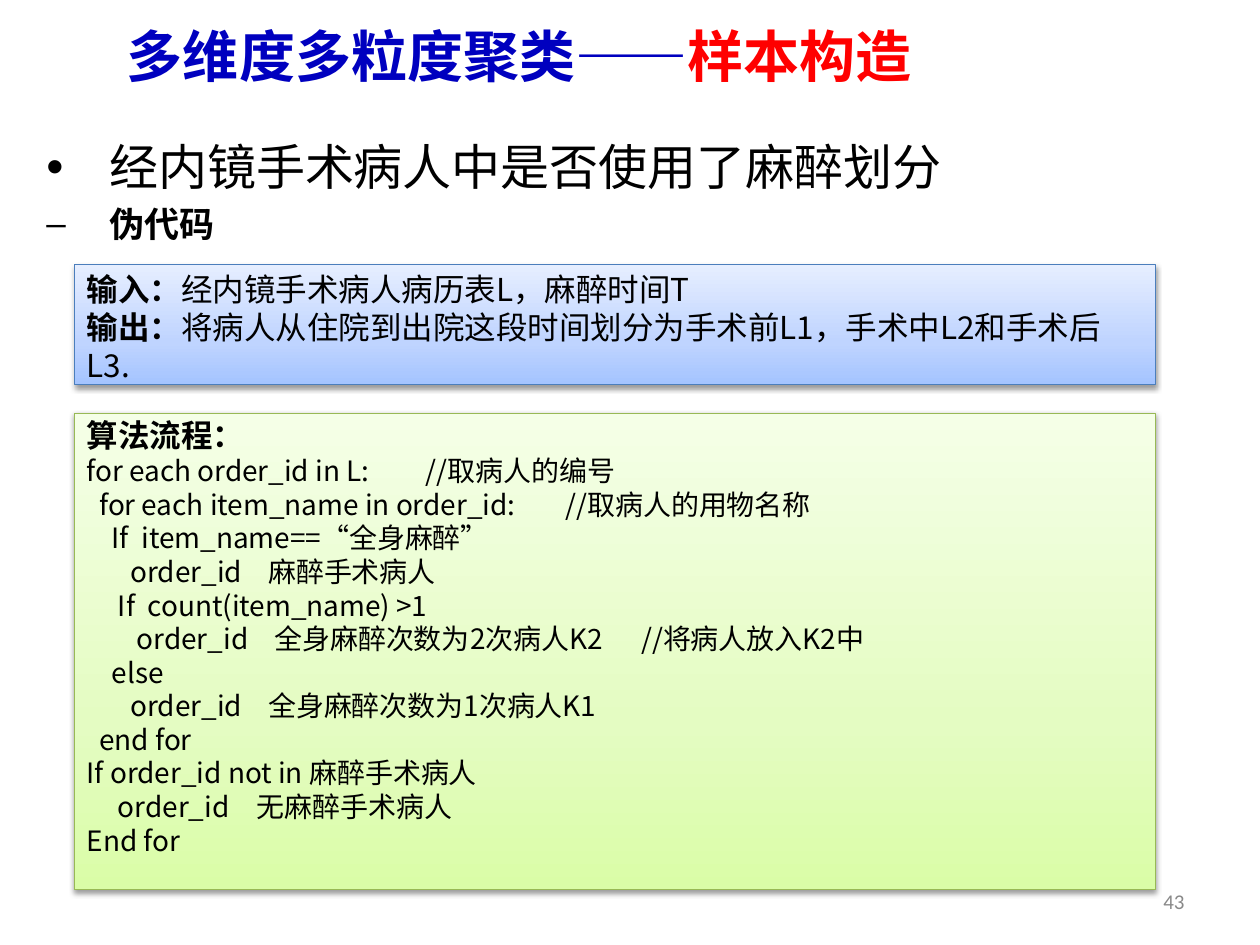
import copy
from dataclasses import dataclass

import pptx
import pptx.dml.color
import pptx.enum.shapes
import pptx.enum.text
import pptx.oxml
import pptx.oxml.ns
import pptx.util

Pt = pptx.util.Pt
Align = pptx.enum.text.PP_ALIGN
Anchor = pptx.enum.text.MSO_ANCHOR
qn = pptx.oxml.ns.qn
NS = pptx.oxml.ns.nsdecls("a")


@dataclass(frozen=True)
class Theme:
    cjk: str = "Noto Sans CJK SC"
    body: str = "Noto Sans CJK JP"
    latin: str = "Calibri"
    ink: str = "000000"
    title: str = "0000BF"
    accent: str = "FF0000"
    muted: str = "898989"
    blue: tuple = ("4B7EBC", "A4C4FF", "BFD4FF", "E6EEFF")
    green: tuple = ("98B955", "DAFDA7", "E4FCC2", "F5FFE7")
    title_size: float = 32
    topic_size: float = 28
    sub_size: float = 20
    label_size: float = 18
    code_size: float = 16
    number_size: float = 12
    leading: float = 1.2


class Deck:
    def __init__(self, theme):
        self.theme = theme
        self.prs = pptx.Presentation()
        self.prs.slide_width = pptx.util.Inches(10)
        self.prs.slide_height = pptx.util.Inches(7.5)
        self.s = self.prs.slides.add_slide(self.prs.slide_layouts[6])

    def box(self, x, y, w, h):
        """Turn shares of the slide, in percent, into lengths."""
        width, height = self.prs.slide_width, self.prs.slide_height
        return [round(share * side / 100)
                for share, side in zip((x, y, w, h), (width, height) * 2)]

    def text(self, area, anchor=Anchor.MIDDLE, top=3.6):
        tf = self.s.shapes.add_textbox(*self.box(*area)).text_frame
        self.frame(tf, anchor, top)
        return tf

    def frame(self, tf, anchor, top):
        tf.word_wrap = True
        tf.vertical_anchor = anchor
        tf.margin_top = Pt(top)

    def panel(self, area, colours, anchor, top):
        """Rectangle with a vertical gradient and a soft shadow below it."""
        sp = self.s.shapes.add_shape(
            pptx.enum.shapes.MSO_SHAPE.RECTANGLE, *self.box(*area))
        line, *stops = colours
        sp.fill.gradient()
        sp.fill.gradient_angle = 90
        first = sp._element.spPr.find(".//" + qn("a:gs"))
        first.addnext(copy.deepcopy(first))
        for stop, colour, position in zip(sp.fill.gradient_stops, stops, (0, 0.35, 1)):
            stop.color.rgb = pptx.dml.color.RGBColor.from_string(colour)
            stop.position = position
        sp.line.color.rgb = pptx.dml.color.RGBColor.from_string(line)
        sp.line.width = Pt(0.75)
        sp.shadow.inherit = False
        sp._element.spPr.find(qn("a:effectLst")).append(pptx.oxml.parse_xml(
            f'<a:outerShdw {NS} blurRad="{Pt(3.1)}" dist="{Pt(1.6)}" dir="5400000" '
            'rotWithShape="0"><a:srgbClr val="000000"><a:alpha val="38000"/>'
            '</a:srgbClr></a:outerShdw>'))
        self.frame(sp.text_frame, anchor, top)
        return sp.text_frame

    def paragraph(self, tf, runs, size, font=None, align=Align.LEFT,
                  bullet=None, before=0, tabs=()):
        """Add a paragraph of (text, bold, colour) runs; tabs are in inches."""
        p = tf.paragraphs[0]
        if p.runs:
            p = tf.add_paragraph()
        pPr = p._p.get_or_add_pPr()
        p.alignment = align
        p.line_spacing = Pt(size * self.theme.leading)
        p.space_before = Pt(before)
        if bullet:
            indent = pptx.util.Inches(0.5)
            pPr.set("marL", str(indent))
            pPr.set("indent", str(-indent))
            pPr.append(pptx.oxml.parse_xml(f'<a:buFont {NS} typeface="Arial"/>'))
            pPr.append(pptx.oxml.parse_xml(f'<a:buChar {NS} char="{bullet}"/>'))
        if tabs:
            stops = "".join(f'<a:tab pos="{pptx.util.Inches(t)}" algn="l"/>' for t in tabs)
            pPr.append(pptx.oxml.parse_xml(f'<a:tabLst {NS}>{stops}</a:tabLst>'))
        for text, bold, colour in runs:
            r = p.add_run()
            r.text = text
            r.font.size = Pt(size)
            r.font.bold = bold
            r.font.color.rgb = pptx.dml.color.RGBColor.from_string(colour)
            r.font.name = font or self.theme.cjk
            east = self.theme.cjk if font == self.theme.latin else r.font.name
            r.font._element.find(qn("a:latin")).addnext(
                pptx.oxml.parse_xml(f'<a:ea {NS} typeface="{east}"/>'))


INPUTS = [
    ("输入：", "经内镜手术病人病历表L，麻醉时间T"),
    ("输出：", "将病人从住院到出院这段时间划分为手术前L1，手术中L2和手术后L3."),
]

# Each line of pseudocode with the tab stops it uses.
CODE = [
    ("for each order_id in L:\t//取病人的编号", [2.69]),
    ("  for each item_name in order_id:\t//取病人的用物名称", [3.8]),
    ("    If  item_name==“全身麻醉”", []),
    ("       order_id\t麻醉手术病人", [1.44]),
    ("     If  count(item_name) >1", []),
    ("        order_id\t全身麻醉次数为2次病人K2\t//将病人放入K2中", [1.49, 4.4]),
    ("    else", []),
    ("       order_id\t全身麻醉次数为1次病人K1", [1.44]),
    ("  end for", []),
    ("If order_id not in 麻醉手术病人", []),
    ("     order_id\t无麻醉手术病人", [1.35]),
    ("End for", []),
]


def main():
    t = Theme()
    deck = Deck(t)

    topics = deck.text((2.7, 13.2, 92.3, 15), Anchor.TOP, 7)
    deck.paragraph(topics, [("经内镜手术病人中是否使用了麻醉划分", False, t.ink)],
                   t.topic_size, t.body, bullet="•")
    deck.paragraph(topics, [("伪代码", True, t.ink)], t.sub_size, t.latin,
                   bullet="–", before=4)

    number = deck.text((71.7, 92.67, 23.3, 5.33))
    deck.paragraph(number, [("43", False, t.muted)], t.number_size, t.latin, Align.RIGHT)

    title = deck.text((9.1, 0, 90, 11.6))
    deck.paragraph(title, [("多维度多粒度聚类——", True, t.title),
                           ("样本构造", True, t.accent)], t.title_size)

    inputs = deck.panel((5.9, 28, 85.8, 12.67), t.blue, Anchor.MIDDLE, 6)
    for label, text in INPUTS:
        deck.paragraph(inputs, [(label, True, t.ink), (text, False, t.ink)], t.label_size)

    steps = deck.panel((5.9, 43.73, 85.8, 50.4), t.green, Anchor.TOP, 1.5)
    deck.paragraph(steps, [("算法流程：", True, t.ink)], t.label_size)
    for text, tabs in CODE:
        deck.paragraph(steps, [(text, False, t.ink)], t.code_size, tabs=tabs)

    deck.prs.save("out.pptx")


if __name__ == "__main__":
    main()
